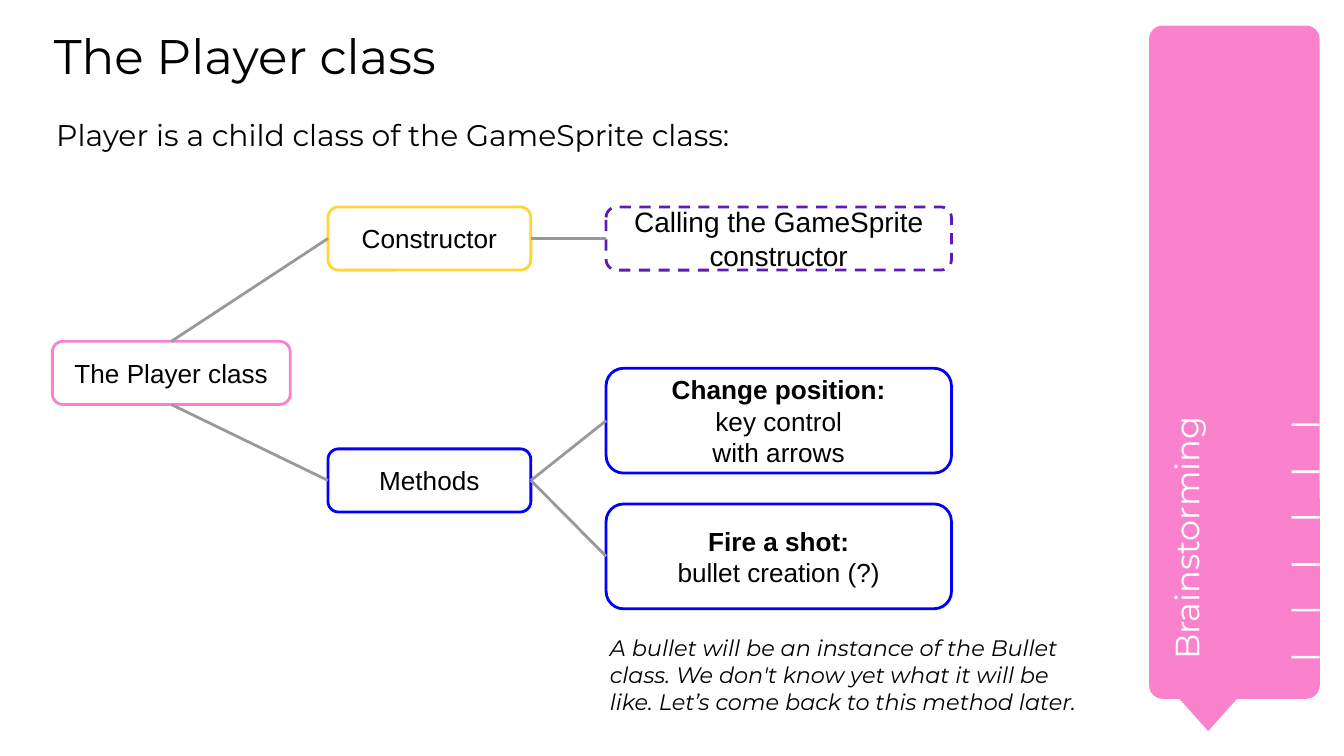
from collections import namedtuple
from dataclasses import dataclass

from lxml.etree import SubElement
from pptx import Presentation
from pptx.dml.color import RGBColor
from pptx.enum.dml import MSO_LINE
from pptx.enum.shapes import MSO_CONNECTOR, MSO_SHAPE
from pptx.enum.text import MSO_ANCHOR, MSO_AUTO_SIZE, PP_ALIGN
from pptx.oxml.ns import qn
from pptx.util import Emu, Pt

EMU_PER_PX = 9144
TOP, LEFT, BOTTOM, RIGHT = range(4)
Box = namedtuple("Box", "left top width height")


@dataclass(frozen=True)
class Theme:
    heading_font: str = "Montserrat"
    diagram_font: str = "Arial"
    text: str = "000000"
    white: str = "FFFFFF"
    pink: str = "FA82CC"
    yellow: str = "FFD53A"
    blue: str = "0000FF"
    purple: str = "5E1CB6"
    gray: str = "999999"
    title_size: int = 26
    label_size: int = 18
    subtitle_size: int = 16
    call_size: int = 15
    node_size: int = 14
    note_size: int = 12
    line_width: float = 1.5


THEME = Theme()


def px(value):
    return Emu(round(value * EMU_PER_PX))


def set_attributes(target, values):
    for name, value in values.items():
        setattr(target, name, value)


def place(parent, left, top, width, height):
    return [px(value) for value in (parent.left + left, parent.top + top, width, height)]


def write_text(shape, lines, size, font, color=THEME.text, inset=10,
               anchor=MSO_ANCHOR.TOP, align=PP_ALIGN.LEFT, bold_first=False, italic=False):
    frame = shape.text_frame
    set_attributes(frame, {
        "word_wrap": True, "auto_size": MSO_AUTO_SIZE.NONE, "vertical_anchor": anchor,
        "margin_left": px(inset), "margin_right": px(inset),
        "margin_top": px(inset), "margin_bottom": px(inset),
    })
    for index, line in enumerate(lines):
        paragraph = frame.add_paragraph() if index else frame.paragraphs[0]
        paragraph.alignment = align
        run = paragraph.add_run()
        run.text = line
        set_attributes(run.font, {
            "name": font, "size": Pt(size), "italic": italic,
            "bold": bold_first and index == 0,
        })
        run.font.color.rgb = RGBColor.from_string(color)


def add_text(slide, position, text, size, **formats):
    shape = slide.shapes.add_textbox(*position)
    write_text(shape, [text], size, THEME.heading_font, **formats)
    return shape


def add_filled(slide, kind, position, color):
    shape = slide.shapes.add_shape(kind, *position)
    shape.shadow.inherit = False
    shape.fill.solid()
    shape.fill.fore_color.rgb = RGBColor.from_string(color)
    shape.line.fill.background()
    return shape


def add_sidebar(slide, box):
    panel = add_filled(slide, MSO_SHAPE.ROUNDED_RECTANGLE,
                       place(box, 0, 0, box.width, box.height), THEME.pink)
    panel.adjustments[0] = 0.08
    add_filled(slide, MSO_SHAPE.FLOWCHART_MERGE,
               place(box, 11, box.height - 13, 66, 37), THEME.pink)
    label = add_text(slide, place(box, -141, 271, 354, 67), "Brainstorming",
                     THEME.label_size, color=THEME.white)
    label.rotation = 270
    tick_width, tick_count, tick_span = 21, 6, 173
    for index in range(tick_count):
        top = 296 + round(index * tick_span / (tick_count - 1))
        add_filled(slide, MSO_SHAPE.RECTANGLE,
                   place(box, box.width - tick_width, top, tick_width, 2), THEME.white)


def add_heading(slide, box):
    title = slide.shapes.title
    set_attributes(title, dict(zip(Box._fields, place(box, 0, 0, box.width, 55))))
    write_text(title, ["The Player class"], THEME.title_size, THEME.heading_font, inset=0)
    add_text(slide, place(box, -8, 58, 810, 55),
             "Player is a child class of the GameSprite class:", THEME.subtitle_size)


def add_node(slide, position, lines, color, size=THEME.node_size, dash=None):
    node = add_filled(slide, MSO_SHAPE.ROUNDED_RECTANGLE, position, THEME.white)
    node.line.color.rgb = RGBColor.from_string(color)
    set_attributes(node.line, {"width": Pt(THEME.line_width), "dash_style": dash})
    write_text(node, lines, size, THEME.diagram_font, anchor=MSO_ANCHOR.MIDDLE,
               align=PP_ALIGN.CENTER, bold_first=len(lines) > 1)
    return node


def add_link(slide, start, start_side, end):
    link = slide.shapes.add_connector(MSO_CONNECTOR.STRAIGHT, 0, 0, 0, 0)
    link.begin_connect(start, start_side)
    link.end_connect(end, LEFT)
    link.line.color.rgb = RGBColor.from_string(THEME.gray)
    link.line.width = Pt(THEME.line_width)
    SubElement(link._element.spPr, qn("a:effectLst"))


def add_class_diagram(slide, box):
    middle, right = 205, 412
    low, high = 47, 78
    player = add_node(slide, place(box, 0, 100, 177, low), ["The Player class"], THEME.pink)
    constructor = add_node(slide, place(box, middle, 0, 151, low),
                           ["Constructor"], THEME.yellow)
    methods = add_node(slide, place(box, middle, 180, 151, low), ["Methods"], THEME.blue)
    call = add_node(slide, place(box, right, 0, 257, low),
                    ["Calling the GameSprite constructor"], THEME.purple,
                    THEME.call_size, MSO_LINE.DASH)
    move = add_node(slide, place(box, right, 120, 257, high),
                    ["Change position:", "key control", "with arrows"], THEME.blue)
    fire = add_node(slide, place(box, right, 221, 257, high),
                    ["Fire a shot:", "bullet creation (?)"], THEME.blue)
    for start, side, end in (
        (player, TOP, constructor),
        (player, BOTTOM, methods),
        (constructor, RIGHT, call),
        (methods, RIGHT, move),
        (methods, RIGHT, fire),
    ):
        add_link(slide, start, side, end)
    add_text(slide, place(box, 405, 308, 377, 81),
             "A bullet will be an instance of the Bullet class. We don't know yet "
             "what it will be like. Let’s come back to this method later.",
             THEME.note_size, italic=True)


def main():
    presentation = Presentation()
    set_attributes(presentation, {"slide_width": px(1000), "slide_height": px(562.5)})
    slide = presentation.slides.add_slide(presentation.slide_layouts[5])
    add_sidebar(slide, Box(855, 19, 127, 501))
    add_heading(slide, Box(40, 19, 794, 113))
    add_class_diagram(slide, Box(39, 154, 782, 389))
    presentation.save("out.pptx")


if __name__ == "__main__":
    main()
